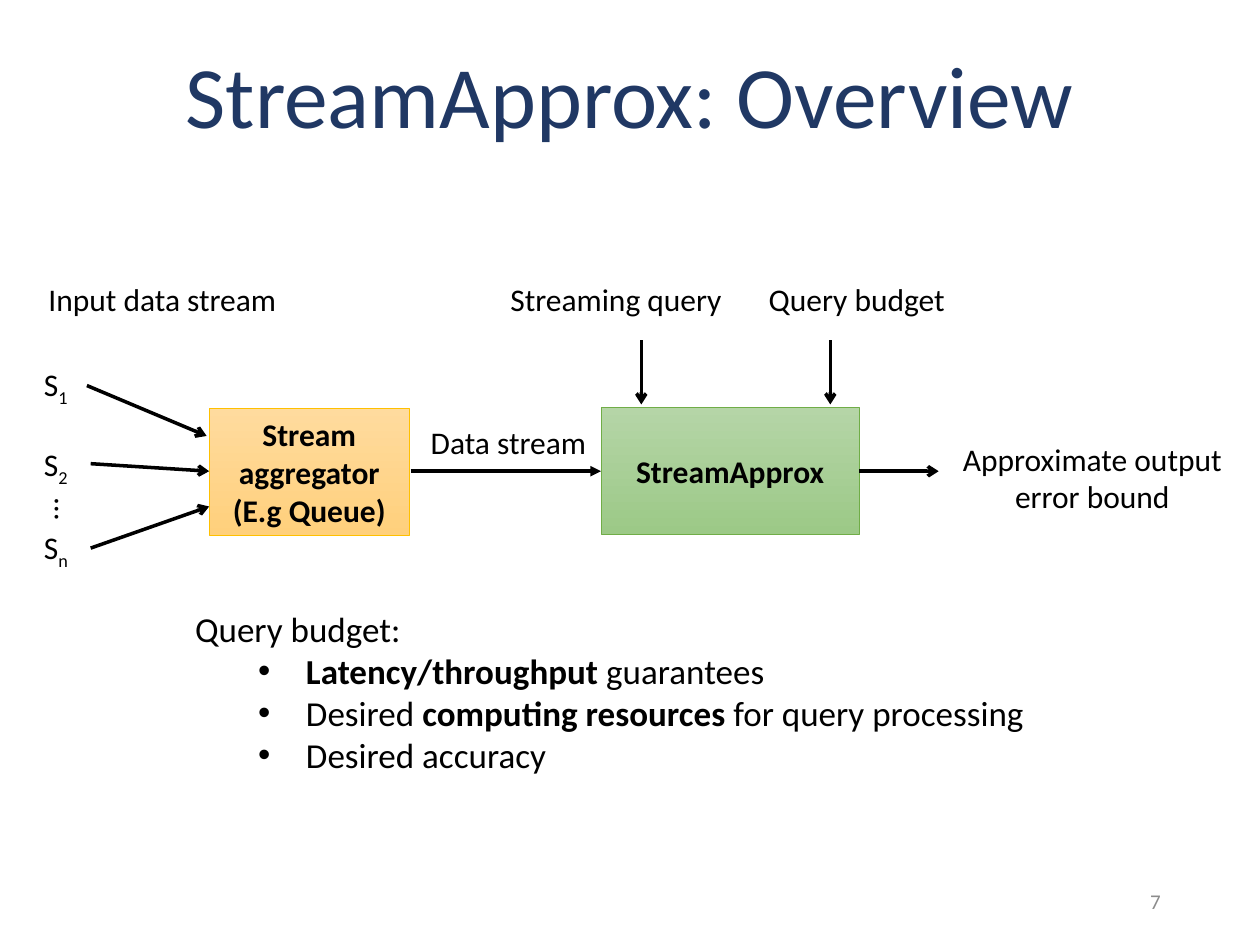
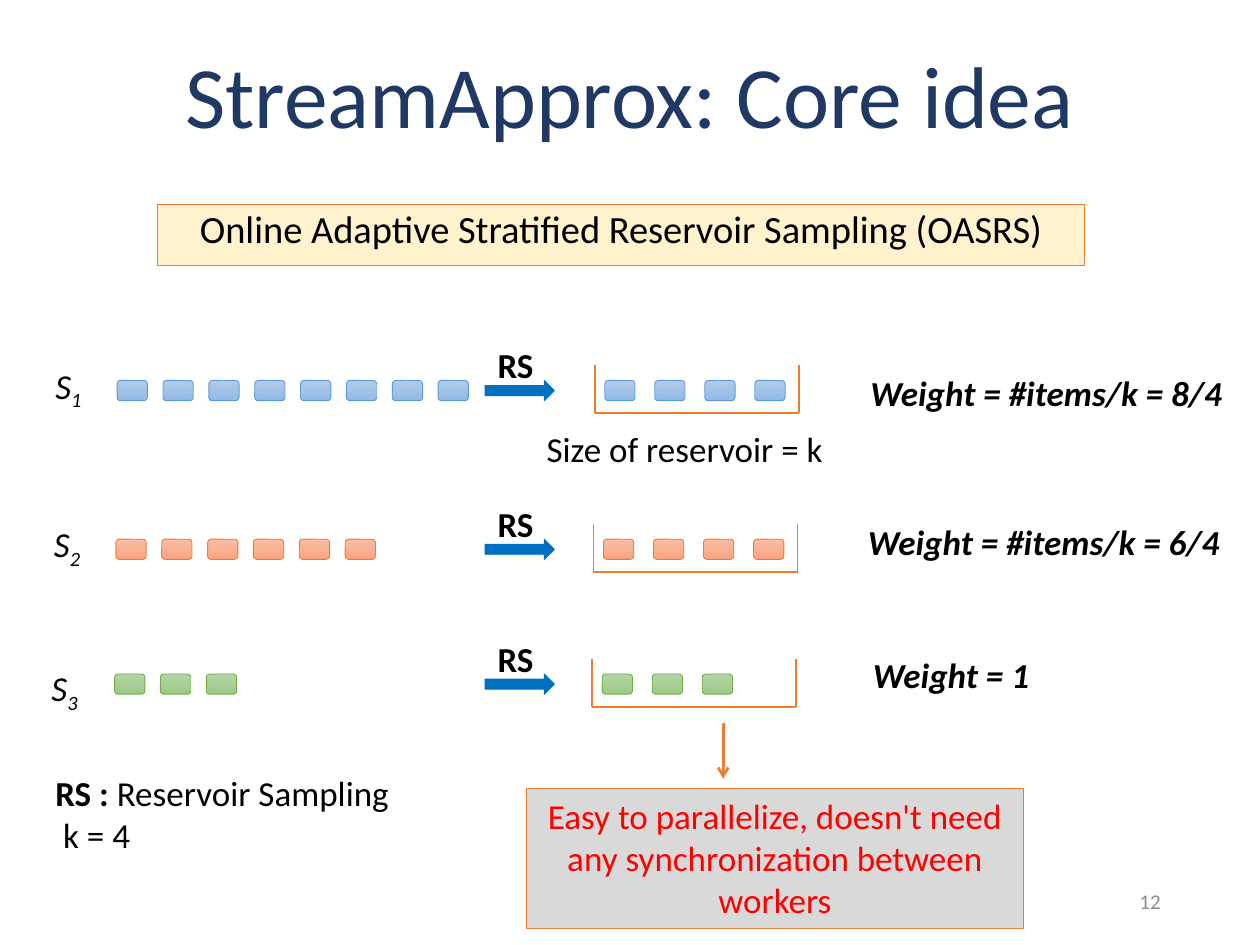
from dataclasses import dataclass
from lxml.etree import SubElement
from pptx import Presentation
from pptx.dml.color import RGBColor
from pptx.enum.shapes import MSO_CONNECTOR, MSO_SHAPE
from pptx.enum.text import MSO_ANCHOR, PP_ALIGN
from pptx.oxml.ns import qn
from pptx.util import Inches, Pt


@dataclass(frozen=True)
class Theme:
    font: str = "Calibri"
    ink: str = "000000"
    navy: str = "203864"
    grey: str = "8C8C8C"
    white: str = "FFFFFF"
    red: str = "FF0000"
    cream: str = "FFF2CC"
    ash: str = "D9D9D9"
    blue: str = "0070C0"
    rust: str = "ED7D31"
    gold: tuple = ("FFDB9E", "FFD07C", "FFC000")
    leaf: tuple = ("B5D5A7", "9CC987", "70AD47")
    sky: tuple = ("B1CBE9", "93B9E4", "5B9BD5")
    coral: tuple = ("F7BDA5", "F8A582", "ED7D31")
    title: int = 50
    banner: int = 22
    body: int = 20
    label: int = 18
    small: int = 12


T = Theme()
COLS, ROWS = 100, 75
MID, LEFT, RIGHT = PP_ALIGN.CENTER, PP_ALIGN.LEFT, PP_ALIGN.RIGHT

LABELS = [
    ("Input data stream", (1.1, 21.7, 23.6, 4)),
    ("Streaming query", (36.7, 21.7, 24.4, 4)),
    ("Query budget", (59.6, 21.7, 16.8, 4)),
    ("Data stream", (32.4, 33.1, 15.9, 4)),
    ("Approximate output error bound", (74.5, 34.4, 24.4, 7.1)),
]
BOXES = [
    (["Stream", "aggregator", "(E.g Queue)"], (16.6, 32.4, 15.9, 10.1), T.gold),
    (["StreamApprox"], (47.7, 32.3, 20.5, 10.1), T.leaf),
]
INPUTS = [
    ("1", 28.5, (6.9, 30.6, 16.4, 34.6)),
    ("2", 34.8, (7.2, 36.8, 16.6, 37.4)),
    ("n", 41.4, (7.2, 43.5, 16.6, 40.2)),
]
FLOWS = [
    (50.9, 27, 50.9, 32.1),
    (65.9, 27, 65.9, 32.1),
    (68.2, 37.4, 74.5, 37.4),
]
BUDGET = [
    [("Latency/throughput", "b"), (" guarantees", "")],
    [("Desired ", ""), ("computing resources ", "b"),
     ("for query processing", "")],
    ["Desired accuracy"],
]
STREAMS = [
    dict(sub="1", tone=T.sky, left=9.3, top=30.2, count=8, name=(3.4, 28.4),
         weight="Weight = #items/k = 8/4", spot=(68.1, 29)),
    dict(sub="2", tone=T.coral, left=9.2, top=42.8, count=6, name=(3.3, 41),
         weight="Weight = #items/k = 6/4", spot=(67.9, 40.8)),
    dict(sub="3", tone=T.leaf, left=9.1, top=53.5, count=3, name=(3.1, 52.4),
         weight="Weight = 1", spot=(68.3, 51.4)),
]
SIZE_K = 4
KEY = [[("RS : ", "b"), ("Reservoir Sampling", "")], " k = 4"]
CLAIM = "Easy to parallelize, doesn't need any synchronization between workers"

deck = Presentation()
deck.slide_width, deck.slide_height = Inches(10), Inches(7.5)


def grid(spot):
    units = (deck.slide_width / COLS, deck.slide_height / ROWS) * 2
    return [round(part * unit) for part, unit in zip(spot, units)]


def write(text, slide=None, at=None, shape=None, size=T.label, ink=T.ink,
          align=LEFT, mid=False, marks="", pitch=None, turn=0):
    shape = shape or slide.shapes.add_textbox(*grid(at))
    shape.rotation = turn
    frame = shape.text_frame
    frame.word_wrap = True
    frame.vertical_anchor = MSO_ANCHOR.MIDDLE if mid else MSO_ANCHOR.TOP
    lines = text if isinstance(text, list) else [text]
    for num, line in enumerate(lines):
        para = frame.add_paragraph() if num else frame.paragraphs[0]
        para.alignment = align
        if pitch:
            para.line_spacing = pitch
        for part in line if isinstance(line, list) else [line]:
            words, extra = part if isinstance(part, tuple) else (part, "")
            run = para.add_run()
            run.text = words
            font = run.font
            font.name, font.size = T.font, Pt(size)
            font.color.rgb = RGBColor.from_string(ink)
            font.bold = "b" in marks + extra
            font.italic = "i" in marks + extra
            if "_" in extra:
                run._r.get_or_add_rPr().set("baseline", "-25000")
    return shape


def block(slide, at, fill, edge=None, kind=MSO_SHAPE.RECTANGLE):
    shape = slide.shapes.add_shape(kind, *grid(at))
    shape.shadow.inherit = False
    if isinstance(fill, tuple):
        shape.fill.gradient()
        shape.fill.gradient_angle = 270
        for stop, tone in zip(shape.fill.gradient_stops, fill):
            stop.color.rgb = RGBColor.from_string(tone)
        edge = fill[2]
    else:
        shape.fill.solid()
        shape.fill.fore_color.rgb = RGBColor.from_string(fill)
    if edge:
        shape.line.color.rgb = RGBColor.from_string(edge)
        shape.line.width = Pt(0.5)
    else:
        shape.line.fill.background()
    return shape


def link(slide, ends, ink=T.ink, width=2, head=None):
    line = slide.shapes.add_connector(MSO_CONNECTOR.STRAIGHT, *grid(ends))
    line.line.color.rgb = RGBColor.from_string(ink)
    line.line.width = Pt(width)
    if head:
        SubElement(line.line._get_or_add_ln(), qn("a:tailEnd"), type=head)
    SubElement(line._element.spPr, qn("a:effectLst"))


def page(title, num):
    slide = deck.slides.add_slide(deck.slide_layouts[6])
    write(title, slide, (6.9, 3, 86.2, 9.9), size=T.title, ink=T.navy,
          align=MID, mid=True, pitch=0.9)
    write(num, slide, (70.6, 69.5, 22.5, 4), size=T.small, ink=T.grey,
          align=RIGHT, mid=True)
    return slide


def bullet(para):
    props = para._p.get_or_add_pPr()
    props.set("lvl", "1")
    props.set("marL", str(Inches(0.88)))
    props.set("indent", str(Inches(-0.38)))
    SubElement(props, qn("a:buFont"), typeface="Arial")
    SubElement(props, qn("a:buChar"), char="•")


def view():
    slide = page("StreamApprox: Overview", "7")
    for text, at in LABELS:
        write(text, slide, at, align=MID)
    for text, at, tone in BOXES:
        write(text, shape=block(slide, at, tone), align=MID, mid=True,
              marks="b")
    for sub, top, ends in INPUTS:
        write([["S", (sub, "_")]], slide, (2.5, top, 4.7, 4))
        link(slide, ends, head="arrow")
    write("…", slide, (3.8, 38.1, 3.1, 4), turn=90)
    for ends in FLOWS:
        link(slide, ends, head="arrow")
    link(slide, (32.6, 37.4, 47.7, 37.4), head="triangle")
    panel = block(slide, (14.5, 47.7, 70.9, 14.5), T.white)
    write(["Query budget:"] + BUDGET, shape=panel, size=T.body)
    for para in panel.text_frame.paragraphs[1:]:
        bullet(para)


def stream(slide, sub, tone, left, top, count, name, weight, spot):
    write([["S", (sub, "_")]], slide, (*name, 4.5, 4.4), size=T.body,
          marks="i")
    tank = left + 37.9
    rows = [(left, 3.64, count), (tank + 0.8, 3.97, min(count, SIZE_K))]
    for start, step, total in rows:
        for num in range(total):
            block(slide, (start + num * step, top, 2.4, 1.6), tone,
                  kind=MSO_SHAPE.ROUNDED_RECTANGLE)
    block(slide, (38.5, top, 5.5, 1.6), T.blue, T.blue,
          MSO_SHAPE.RIGHT_ARROW)
    write("RS", slide, (38.5, top - 3.4, 6.2, 4.4), size=T.body, marks="b")
    right, rim, base = tank + 16.2, top - 1.2, top + 2.6
    for ends in [(tank, rim, tank, base), (tank, base, right, base),
                 (right, base, right, rim)]:
        link(slide, ends, T.rust, 1)
    write(weight, slide, (*spot, 30.5, 4.4), size=T.body, marks="bi")


def core():
    slide = page("StreamApprox: Core idea", "12")
    banner = block(slide, (12.5, 16.2, 73.6, 4.9), T.cream, T.rust)
    write("Online Adaptive Stratified Reservoir Sampling (OASRS)",
          shape=banner, size=T.banner, align=MID, pitch=0.9)
    for item in STREAMS:
        stream(slide, **item)
    write("Size of reservoir = k", slide, (42.4, 33.4, 25, 4.4), size=T.body)
    write(KEY, slide, (3.4, 60.7, 30.8, 7.7), size=T.body)
    link(slide, (57.4, 57.4, 57.4, 61.8), T.rust, 1.5, "arrow")
    write(CLAIM, shape=block(slide, (41.8, 62.6, 39.4, 11.1), T.ash, T.rust),
          size=T.body, ink=T.red, align=MID)


view()
core()
deck.save("out.pptx")
